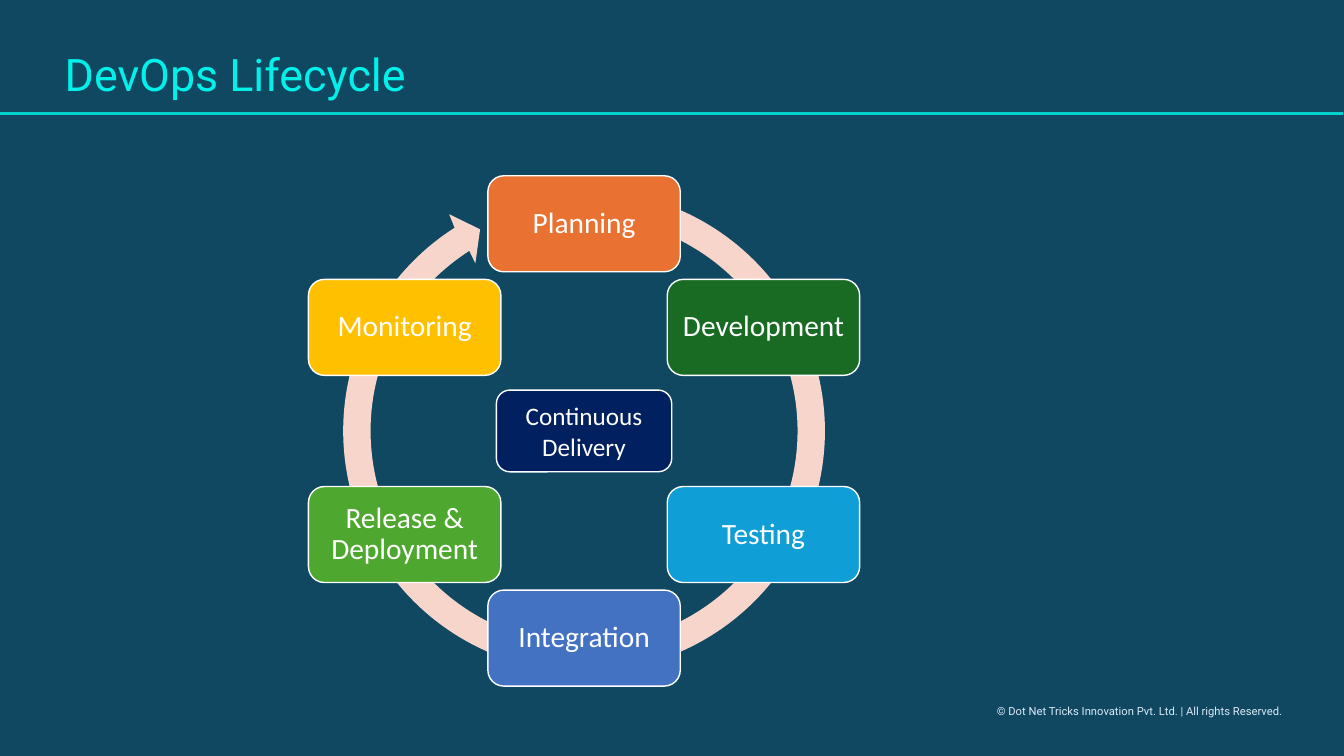
from math import cos, radians, sin, tan
from typing import NamedTuple

from lxml.etree import SubElement
from pptx import Presentation
from pptx.dml.color import RGBColor
from pptx.enum.shapes import MSO_CONNECTOR as Connector, MSO_SHAPE as Preset
from pptx.enum.text import MSO_ANCHOR as Anchor, PP_ALIGN as Align
from pptx.oxml.ns import qn
from pptx.util import Cm, Pt

BACKDROP = RGBColor(0x10, 0x48, 0x62)
TITLE_CYAN = RGBColor(0x00, 0xF0, 0xEA)
RULE_CYAN = RGBColor(0x00, 0xD1, 0xCF)
PALE_BLUE = RGBColor(0xDC, 0xEA, 0xF7)
RING_PINK = RGBColor(0xF7, 0xD5, 0xCB)
WHITE = RGBColor(0xFF, 0xFF, 0xFF)
NAVY = RGBColor(0x00, 0x20, 0x60)
ORANGE = RGBColor(0xE9, 0x71, 0x32)
DARK_GREEN = RGBColor(0x19, 0x6B, 0x24)
SKY_BLUE = RGBColor(0x0F, 0x9E, 0xD5)
BLUE = RGBColor(0x43, 0x72, 0xC3)
GREEN = RGBColor(0x4E, 0xA7, 0x2E)
YELLOW = RGBColor(0xFF, 0xC0, 0x00)

# Cycle geometry in centimetres; angles run clockwise from the top
CENTRE_X, CENTRE_Y = 14.72, 10.86
STAGE_ORBIT = 5.22
RING_OUTER, RING_INNER = 6.07, 5.38
RING_START, RING_END = 15.3, 327.5
ARC_CURVES = 5
ARROWHEAD = [(-3.4, -5.46), (-2.62, -5.08), (-2.74, -4.22)]


class Stage(NamedTuple):
    label: str
    fill: RGBColor


class CardStyle(NamedTuple):
    width: float
    height: float
    size: float
    line_spacing: float
    frame: dict


STAGES = [
    Stage("Planning", ORANGE),
    Stage("Development", DARK_GREEN),
    Stage("Testing", SKY_BLUE),
    Stage("Integration", BLUE),
    Stage("Release & Deployment", GREEN),
    Stage("Monitoring", YELLOW),
]
STAGE_STYLE = CardStyle(4.85, 2.42, 21, 0.9, {
    "word_wrap": True, "vertical_anchor": Anchor.MIDDLE,
    "margin_left": Cm(0.23), "margin_right": Cm(0.23),
    "margin_top": Cm(0.23), "margin_bottom": Cm(0.23),
})
HUB_STYLE = CardStyle(4.42, 2.06, 18, 1.0, {
    "word_wrap": True, "vertical_anchor": Anchor.MIDDLE,
})


def apply_format(target, values: dict) -> None:
    for name, value in values.items():
        setattr(target, name, value)


def write(frame, text: str, font_name: str, size: float, colour: RGBColor,
          paragraph_format: dict) -> None:
    paragraph = frame.paragraphs[0]
    apply_format(paragraph, paragraph_format)
    run = paragraph.add_run()
    run.text = text
    apply_format(run.font, {"name": font_name, "size": Pt(size)})
    run.font.color.rgb = colour


def polar(radius: float, angle: float) -> tuple[float, float]:
    return radius * sin(radians(angle)), -radius * cos(radians(angle))


def arc(radius: float, start: float, end: float) -> list[tuple[float, float]]:
    """Bezier points of an arc: start, then two handles and an end per curve."""
    step = (end - start) / ARC_CURVES
    reach = 4 / 3 * tan(radians(step / 4))
    points = [polar(radius, start)]
    for i in range(ARC_CURVES):
        x1, y1 = points[-1]
        x2, y2 = polar(radius, start + (i + 1) * step)
        points += [(x1 - reach * y1, y1 + reach * x1),
                   (x2 + reach * y2, y2 - reach * x2), (x2, y2)]
    return points


def bend(segments: list) -> None:
    """Join each three line segments into one cubic curve."""
    for i in range(0, len(segments), 3):
        first, *others = segments[i:i + 3]
        first.tag = qn("a:cubicBezTo")
        for segment in others:
            first.append(segment[0])
            segment.getparent().remove(segment)


def draw_ring(shapes) -> None:
    outer = arc(RING_OUTER, RING_START, RING_END)
    inner = arc(RING_INNER, RING_END, RING_START)
    points = [(Cm(CENTRE_X + x), Cm(CENTRE_Y + y))
              for x, y in outer + ARROWHEAD + inner]
    builder = shapes.build_freeform(*points[0])
    builder.add_line_segments(points[1:], close=True)
    ring = builder.convert_to_shape()
    segments = list(ring.element.iter(qn("a:lnTo")))
    curve_points = 3 * ARC_CURVES
    bend(segments[:curve_points])
    bend(segments[-curve_points:])
    ring.shadow.inherit = False
    ring.fill.solid()
    ring.fill.fore_color.rgb = RING_PINK
    ring.line.fill.background()


def draw_card(shapes, stage: Stage, style: CardStyle,
              offset: tuple[float, float] = (0, 0)) -> None:
    left = CENTRE_X + offset[0] - style.width / 2
    top = CENTRE_Y + offset[1] - style.height / 2
    card = shapes.add_shape(Preset.ROUNDED_RECTANGLE, Cm(left), Cm(top),
                            Cm(style.width), Cm(style.height))
    card.shadow.inherit = False
    card.fill.solid()
    card.fill.fore_color.rgb = stage.fill
    card.line.color.rgb = WHITE
    card.line.width = Pt(1)
    apply_format(card.text_frame, style.frame)
    write(card.text_frame, stage.label, "Calibri", style.size, WHITE,
          {"alignment": Align.CENTER, "line_spacing": style.line_spacing})


def main() -> None:
    deck = Presentation()
    apply_format(deck, {"slide_width": Cm(33.87), "slide_height": Cm(19.05)})
    slide = deck.slides.add_slide(deck.slide_layouts[6])
    slide.background.fill.solid()
    slide.background.fill.fore_color.rgb = BACKDROP
    shapes = slide.shapes

    # Copyright line
    copyright_line = shapes.add_textbox(Cm(24.87), Cm(17.63), Cm(7.75), Cm(0.6))
    copyright_line.text_frame.word_wrap = False
    write(copyright_line.text_frame,
          "© Dot Net Tricks Innovation Pvt. Ltd. | All rights Reserved.",
          "Roboto", 8, PALE_BLUE, {"alignment": Align.LEFT})

    # Title and its rule
    title_rule = shapes.add_connector(Connector.STRAIGHT, Cm(-0.02), Cm(2.85),
                                      Cm(33.84), Cm(2.85))
    title_rule.line.color.rgb = RULE_CYAN
    title_rule.line.width = Pt(2)
    SubElement(title_rule.element.spPr, qn("a:effectLst"))
    title = shapes.add_textbox(Cm(1.38), Cm(1.21), Cm(30.89), Cm(1.47))
    title.text_frame.word_wrap = True
    write(title.text_frame, "DevOps Lifecycle", "Roboto", 32, TITLE_CYAN,
          {"line_spacing": 0.9})

    # Cycle: ring arrow, six stages, hub
    draw_ring(shapes)
    for i, stage in enumerate(STAGES):
        angle = i * 360 / len(STAGES)
        draw_card(shapes, stage, STAGE_STYLE, polar(STAGE_ORBIT, angle))
    draw_card(shapes, Stage("Continuous Delivery", NAVY), HUB_STYLE)

    deck.save("out.pptx")


if __name__ == "__main__":
    main()
